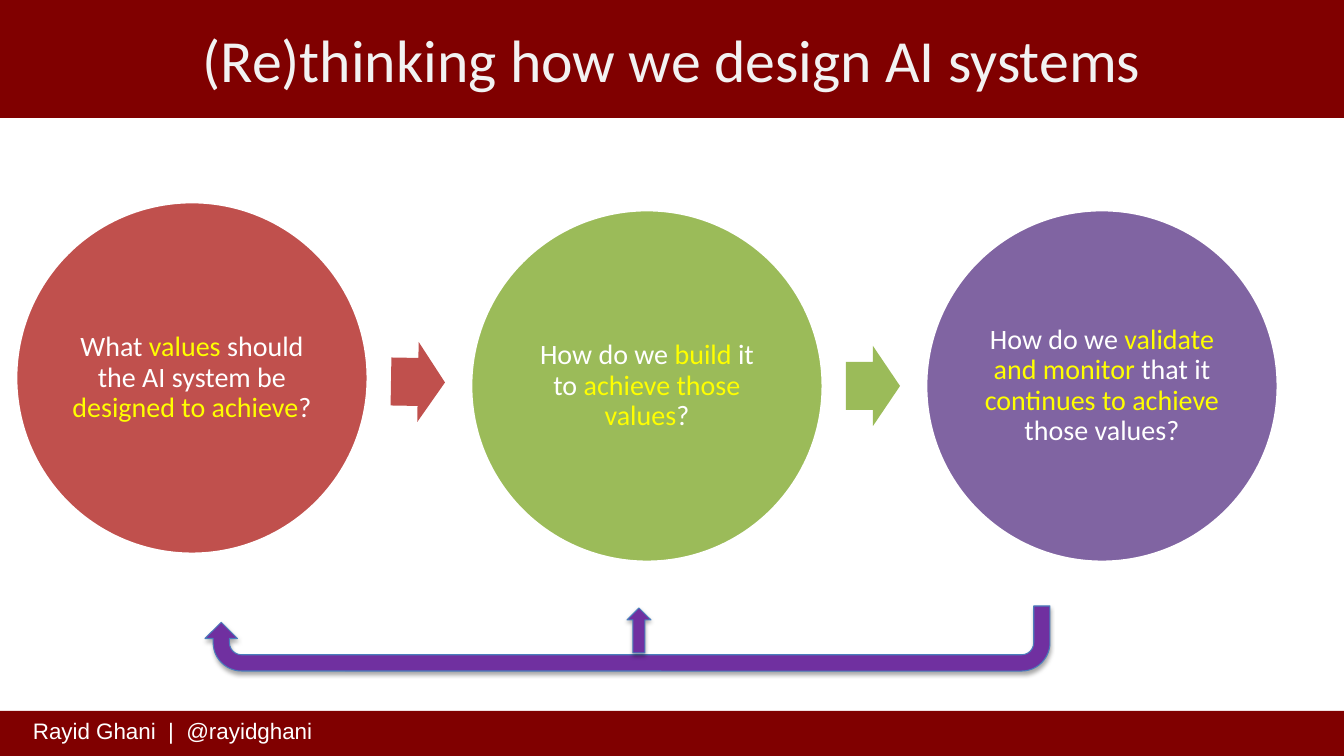
from lxml import etree
from pptx import Presentation, util as u
from pptx.dml.color import RGBColor
from pptx.enum import shapes, text
from pptx.oxml import ns

PX = 914400 / 100.8
SLIDE_W, SLIDE_H = 1344, 756

MAROON = RGBColor(0x80, 0x00, 0x00)
RED = RGBColor(0xC0, 0x50, 0x4D)
GREEN = RGBColor(0x9B, 0xBB, 0x59)
VIOLET = RGBColor(0x80, 0x64, 0xA2)
PURPLE = RGBColor(0x70, 0x30, 0xA0)
EDGE_BLUE = RGBColor(0x4B, 0x7E, 0xBC)
WHITE = RGBColor(0xFF, 0xFF, 0xFF)
OFF_WHITE = RGBColor(0xF2, 0xF2, 0xF2)
YELLOW = RGBColor(0xFF, 0xFF, 0x00)

CIRCLE = 352
STEP_LEFT, STEP_PITCH = 16, 455
ARROW_W, ARROW_H = 54, 80
ARROW_OFFSET = 375

# Each step: colour, top, tilt of the arrow after it, wording with emphasis at odd places
STEPS = [
    (RED, 202, 1, ["What ", "values", " should the AI system be ",
                   "designed to achieve", "?"]),
    (GREEN, 210, 0, ["How do we ", "build", " it to ", "achieve those values", "?"]),
    (VIOLET, 210, 0, ["How do we ", "validate and monitor ", "that it ",
                      "continues to achieve ", "those values?"]),
]


def emu(*lengths):
    return [round(length * PX) for length in lengths]


def style_run(r, size, color, font="Calibri"):
    r.font.size = u.Pt(size)
    r.font.name = font
    r.font.color.rgb = color


def add_filled(s, preset, box, fill, line=None, line_pt=0):
    sp = s.shapes.add_shape(preset, *emu(*box))
    sp.shadow.inherit = False
    sp.fill.solid()
    sp.fill.fore_color.rgb = fill
    if line is None:
        sp.line.fill.background()
    else:
        sp.line.color.rgb = line
        sp.line.width = u.Pt(line_pt)
    return sp


def add_title(s, wording):
    title = s.shapes.title
    title.left, title.top, title.width, title.height = emu(0, 0, SLIDE_W, 118)
    title.fill.solid()
    title.fill.fore_color.rgb = MAROON
    tf = title.text_frame
    tf.text = wording
    tf.word_wrap = True
    tf.auto_size = text.MSO_AUTO_SIZE.NONE
    tf.vertical_anchor = text.MSO_ANCHOR.MIDDLE
    p = tf.paragraphs[0]
    p.alignment = text.PP_ALIGN.CENTER
    style_run(p.runs[0], 42.7, OFF_WHITE)


def add_footer(s, wording):
    add_filled(s, shapes.MSO_SHAPE.RECTANGLE, (0, 711, SLIDE_W, 45), MAROON)
    tf = s.shapes.add_textbox(*emu(23, 712, 306, 37)).text_frame
    tf.word_wrap = True
    tf.auto_size = text.MSO_AUTO_SIZE.SHAPE_TO_FIT_TEXT
    tf.text = wording
    style_run(tf.paragraphs[0].runs[0], 16, WHITE, "Arial")


def add_step(s, left, top, color, pieces):
    sp = add_filled(s, shapes.MSO_SHAPE.OVAL, (left, top, CIRCLE, CIRCLE),
                    color, WHITE, 2)
    tf = sp.text_frame
    tf.word_wrap = True
    tf.vertical_anchor = text.MSO_ANCHOR.MIDDLE
    tf.margin_left, tf.margin_top, tf.margin_right, tf.margin_bottom = emu(3, 3, 3, 3)
    p = tf.paragraphs[0]
    p.alignment = text.PP_ALIGN.CENTER
    p.line_spacing = 0.9
    for i, piece in enumerate(pieces):
        r = p.add_run()
        r.text = piece
        style_run(r, 20, YELLOW if i % 2 else WHITE)


def add_step_arrow(s, left, top, color, tilt):
    sp = add_filled(s, shapes.MSO_SHAPE.RIGHT_ARROW,
                    (left, top, ARROW_W, ARROW_H), color)
    sp.adjustments[0] = 0.6
    sp.adjustments[1] = 0.5
    sp.rotation = tilt


def add_feedback_arrow(s, preset, box, rotation=0):
    sp = add_filled(s, preset, box, PURPLE, EDGE_BLUE, 0.75)
    sp.rotation = rotation
    add_soft_shadow(sp)


def add_soft_shadow(sp):
    effects = sp.element.spPr.find(ns.qn("a:effectLst"))
    shadow = etree.SubElement(effects, ns.qn("a:outerShdw"), blurRad="40000",
                              dist="23000", dir="5400000", rotWithShape="0")
    color = etree.SubElement(shadow, ns.qn("a:srgbClr"), val="000000")
    etree.SubElement(color, ns.qn("a:alpha"), val="35000")


def main():
    prs = Presentation()
    prs.slide_width, prs.slide_height = emu(SLIDE_W, SLIDE_H)
    s = prs.slides.add_slide(prs.slide_layouts[5])

    add_title(s, "(Re)thinking how we design AI systems")
    add_footer(s, "Rayid Ghani  |  @rayidghani")
    for i, (color, top, tilt, pieces) in enumerate(STEPS):
        left = STEP_LEFT + i * STEP_PITCH
        add_step(s, left, top, color, pieces)
        if i < len(STEPS) - 1:
            add_step_arrow(s, left + ARROW_OFFSET,
                           top + (CIRCLE - ARROW_H) // 2 + 4 * tilt, color, tilt)
    add_feedback_arrow(s, shapes.MSO_SHAPE.U_TURN_ARROW, (205, 606, 845, 65), 180)
    add_feedback_arrow(s, shapes.MSO_SHAPE.UP_ARROW, (627, 608, 24, 45))

    prs.save("out.pptx")


if __name__ == "__main__":
    main()
